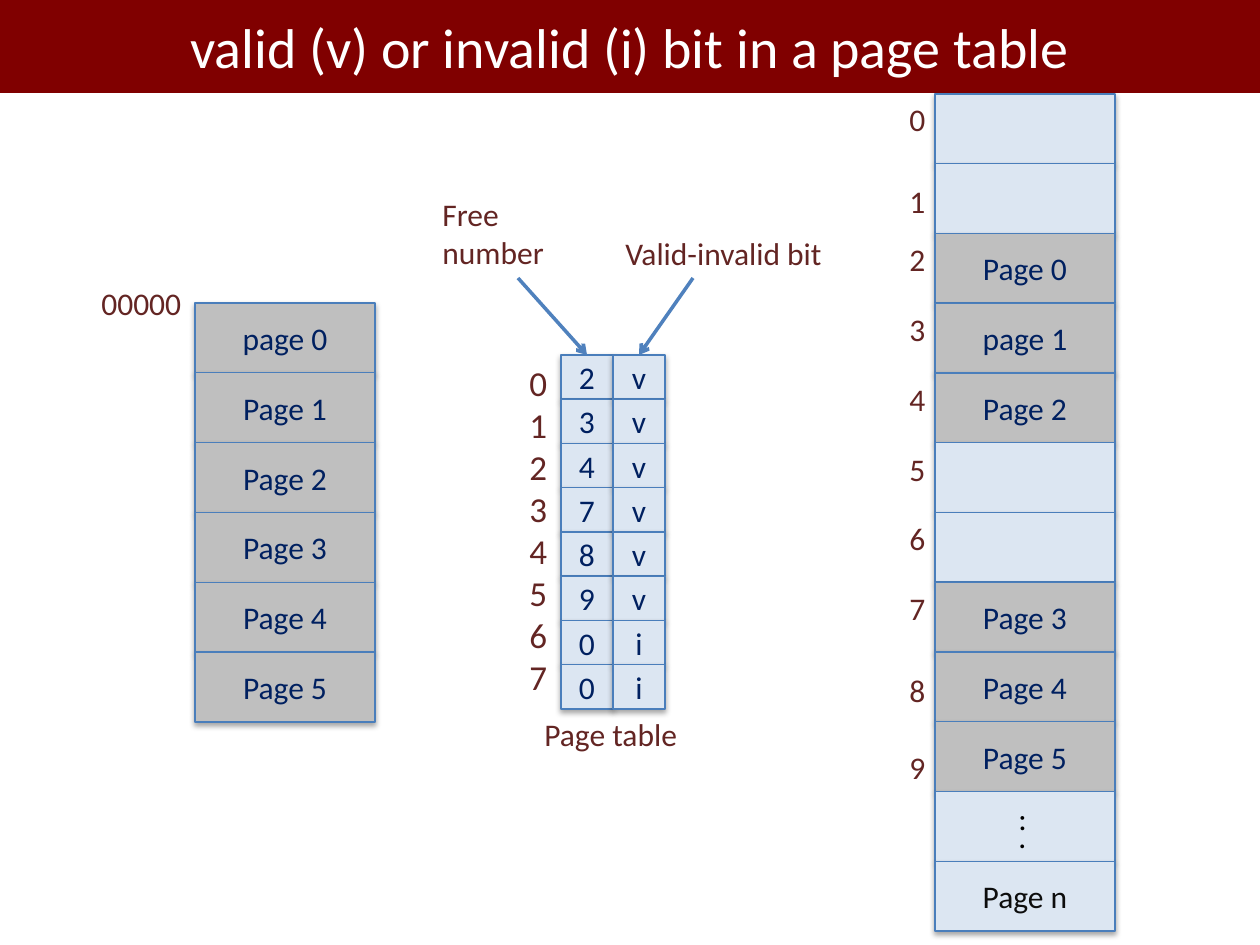
from lxml import etree
from pptx import Presentation
from pptx.dml.color import RGBColor
from pptx.enum import shapes, text
from pptx.oxml import parse_xml
from pptx.oxml.ns import nsdecls, qn
from pptx.util import Emu, Pt

PX = 914400 / 126
FONT = "Calibri"
COLORS = {
    "banner": "800000", "white": "FFFFFF", "free": "DCE6F2", "used": "BFBFBF",
    "border": "4A7EBB", "arrow": "4F81BD", "entry": "002060", "label": "632523",
    "last": "0D0D0D", "dots": "000000",
}
SHADOW = (
    f'<a:effectLst {nsdecls("a")}>'
    '<a:outerShdw blurRad="40000" dist="23000" dir="5400000" rotWithShape="0">'
    '<a:srgbClr val="000000"><a:alpha val="35000"/></a:srgbClr>'
    '</a:outerShdw></a:effectLst>'
)

deck = Presentation()
deck.slide_width, deck.slide_height = Emu(round(1260 * PX)), Emu(round(945 * PX))
page = deck.slides.add_slide(deck.slide_layouts[5])


def write(box, words, size, color, align):
    frame = box.text_frame
    frame.word_wrap = True
    frame.text = words
    for para in frame.paragraphs:
        para.alignment = align
        for span in para.runs:
            span.font.name = FONT
            span.font.size = Pt(size)
            span.font.color.rgb = RGBColor.from_string(COLORS[color])


def add_column(left, top, width, height, entries):
    """Stack equal cells, given as (words, fill, text colour); return them."""
    edges = [round((top + height * i / len(entries)) * PX) for i in range(len(entries) + 1)]
    cells = []
    for (words, fill, color), upper, lower in zip(entries, edges, edges[1:]):
        cell = page.shapes.add_shape(
            shapes.MSO_SHAPE.RECTANGLE, Emu(round(left * PX)), Emu(upper),
            Emu(round(width * PX)), Emu(lower - upper))
        cell.fill.solid()
        cell.fill.fore_color.rgb = RGBColor.from_string(COLORS[fill])
        cell.line.color.rgb = RGBColor.from_string(COLORS["border"])
        cell.line.width = Pt(0.75)
        cell._element.spPr.append(parse_xml(SHADOW))
        cell.text_frame.vertical_anchor = text.MSO_ANCHOR.MIDDLE
        if words:
            write(cell, words, 18, color, text.PP_ALIGN.CENTER)
        cells.append(cell)
    return cells


# Title banner
title = page.shapes.title
title.left, title.top, title.width, title.height = (
    Emu(round(n * PX)) for n in (0, -1, 1260, 94))
title.fill.solid()
title.fill.fore_color.rgb = RGBColor.from_string(COLORS["banner"])
title.text_frame.vertical_anchor = text.MSO_ANCHOR.MIDDLE
write(title, "valid (v) or invalid (i) bit in a page table", 32, "white", text.PP_ALIGN.CENTER)

# Physical memory: frames holding pages are grey
memory = ["", "", "Page 0", "page 1", "Page 2", "", "", "Page 3", "Page 4", "Page 5", ""]
add_column(935, 94, 180, 837,
           [(words, "used" if words else "free", "entry") for words in memory]
           + [("Page n", "free", "last")])

# Logical memory
logical = ["page 0"] + [f"Page {i}" for i in range(1, 6)]
add_column(195, 303, 180, 419, [(words, "used", "entry") for words in logical])

# Page table: frame numbers and valid bits
frames = add_column(561, 355, 52, 354, [(digit, "free", "entry") for digit in "23478900"])
bits = add_column(613, 355, 52, 354, [(bit, "free", "entry") for bit in "vvvvvvii"])

# Arrows from the captions to the two columns
for start_x, target in ((518, frames[0]), (693, bits[0])):
    start_y = Emu(round(278 * PX))
    arrow = page.shapes.add_connector(
        shapes.MSO_CONNECTOR.STRAIGHT, Emu(round(start_x * PX)), start_y, target.left, target.top)
    arrow.end_connect(target, 0)
    arrow.line.color.rgb = RGBColor.from_string(COLORS["arrow"])
    arrow.line.width = Pt(2)
    etree.SubElement(arrow.line._get_or_add_ln(), qn("a:tailEnd"), type="arrow")
    etree.SubElement(arrow._element.spPr, qn("a:effectLst"))

# Captions, table indices, frame numbers and the ellipsis
labels = [
    ("00000", 89, 278, 108, 50, 18, "label"),
    ("\n".join("01234567"), 517, 355, 44, 349, 20, "label"),
    ("Free number", 430, 189, 180, 88, 18, "label"),
    ("Valid-invalid bit", 613, 228, 246, 50, 18, "label"),
    ("Page table", 532, 709, 162, 50, 18, "label"),
    (":", 1006, 793, 96, 50, 18, "dots"),
    (".", 1006, 811, 48, 50, 18, "dots"),
]
frame_tops = [94, 176, 234, 304, 374, 444, 513, 583, 665, 742]
labels += [(str(i), 897, top, 76, 50, 18, "label") for i, top in enumerate(frame_tops)]
for words, left, top, width, height, size, color in labels:
    box = page.shapes.add_textbox(*(Emu(round(n * PX)) for n in (left, top, width, height)))
    write(box, words, size, color, text.PP_ALIGN.LEFT)

deck.save("out.pptx")
